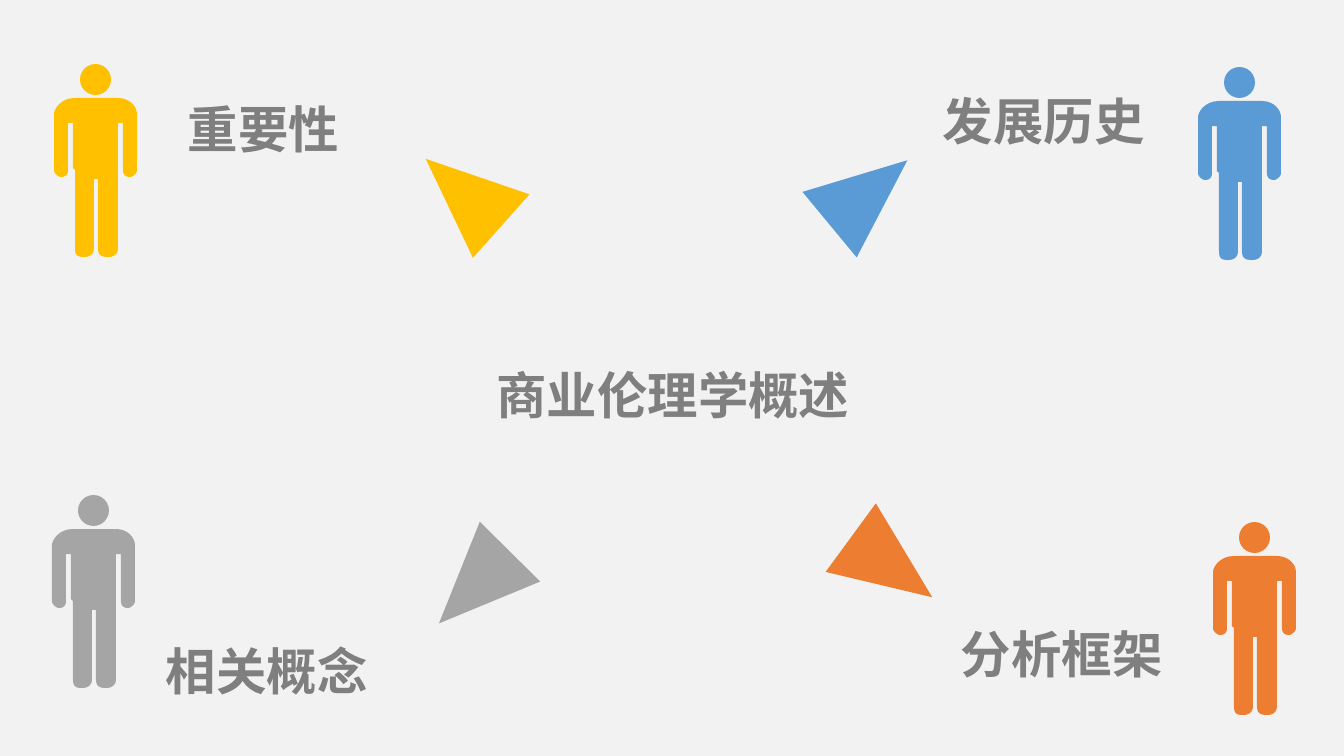
from pptx import Presentation, util as u
from pptx.dml import color
from pptx.enum import shapes, text

PX = 914400 / 100.8


def px(*values):
    return [u.Emu(round(value * PX)) for value in values]


def paint(fill, hex_color):
    fill.solid()
    fill.fore_color.rgb = color.RGBColor.from_string(hex_color)


presentation = Presentation()
presentation.slide_width, presentation.slide_height = px(1344, 756)
slide = presentation.slides.add_slide(presentation.slide_layouts[5])
paint(slide.background.fill, "F2F2F2")

# 

body_steps = [
    (64, 0), (21, 0), (7, 0, 0, 11, 0, 16), (0, 72),
    (0, 76, 5, 79, 7, 79), (12, 79, 14, 76, 14, 72),
    (14, 25), (19, 25), (19, 70), (21, 72), (21, 150),
    (21, 157, 23, 159, 30, 159), (35, 159, 40, 157, 40, 150),
    (40, 81), (44, 81), (44, 150),
    (44, 157, 47, 159, 54, 159), (59, 159, 64, 157, 64, 150),
    (64, 25), (69, 25), (69, 72),
    (69, 76, 71, 79, 76, 79), (78, 79, 83, 76, 83, 72),
    (83, 16), (83, 9, 76, 0, 64, 0),
]
body_points = []
for step in body_steps:
    if len(step) == 2:
        body_points.append(step)
        continue
    x0, y0 = body_points[-1]
    x1, y1, x2, y2, x3, y3 = step
    for part in range(1, 9):
        t = part / 8
        a, b, c, d = (1 - t) ** 3, 3 * t * (1 - t) ** 2, 3 * t * t * (1 - t), t ** 3
        body_points.append((a * x0 + b * x1 + c * x2 + d * x3,
                            a * y0 + b * y1 + c * y2 + d * y3))

topics = [
    ("重要性", "FFC000", (178, 93, 181, 72), (421, 142), 311.7, (54, 98)),
    ("相关概念", "A5A5A5", (156, 635, 241, 72), (432, 537), 224.7, (52, 529)),
    ("发展历史", "5B9BD5", (933, 85, 275, 72), (826, 142), 50.4, (1198, 101)),
    ("分析框架", "ED7D31", (951, 618, 241, 72), (849, 517), 126.2, (1213, 556)),
]

title = slide.shapes.title
title.left, title.top, title.width, title.height = px(479, 359, 388, 72)
title.text_frame.text = "商业伦理学概述"
title.text_frame.paragraphs[0].alignment = text.PP_ALIGN.CENTER
labels = [title]

for name, hue, label_box, arrow_place, angle, (left, top) in topics:
    arrow = slide.shapes.add_shape(
        shapes.MSO_SHAPE.ISOSCELES_TRIANGLE, *px(*arrow_place, 85, 101))
    arrow.rotation = angle

    person = slide.shapes.add_group_shape()
    outline = [tuple(px(left + x, top + y)) for x, y in body_points]
    builder = person.shapes.build_freeform(*outline[0], scale=1.0)
    builder.add_line_segments(outline[1:], close=True)
    body = builder.convert_to_shape()
    head = person.shapes.add_shape(
        shapes.MSO_SHAPE.OVAL, *px(left + 26, top - 34, 31, 31))

    for shape in (arrow, body, head):
        paint(shape.fill, hue)
        shape.line.fill.background()
        shape.shadow.inherit = False

    label = slide.shapes.add_textbox(*px(*label_box))
    label.text_frame.text = name
    labels.append(label)

for label in labels:
    frame = label.text_frame
    frame.word_wrap = True
    frame.auto_size = text.MSO_AUTO_SIZE.SHAPE_TO_FIT_TEXT
    frame.vertical_anchor = text.MSO_ANCHOR.TOP
    font = frame.paragraphs[0].runs[0].font
    font.name = "Calibri"
    font.size = u.Pt(36)
    font.bold = True
    paint(font.fill, "7F7F7F")

presentation.save("out.pptx")
